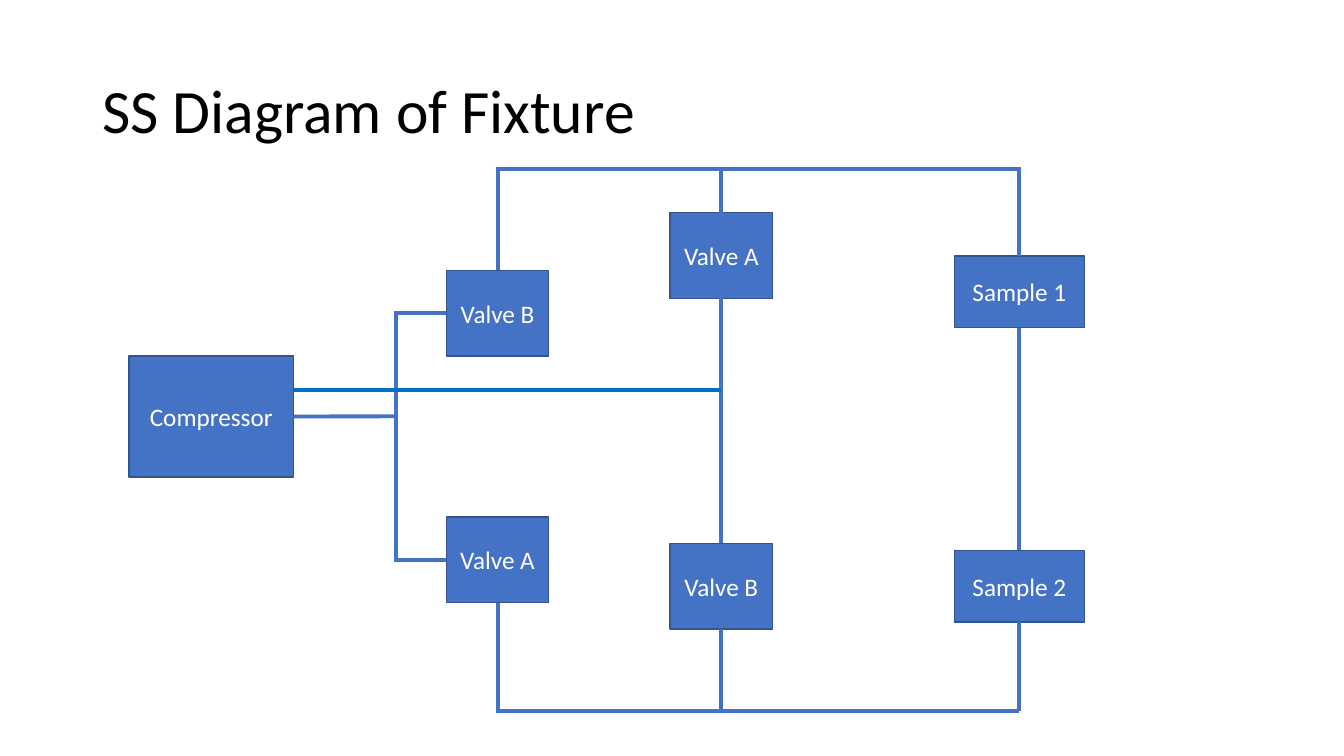
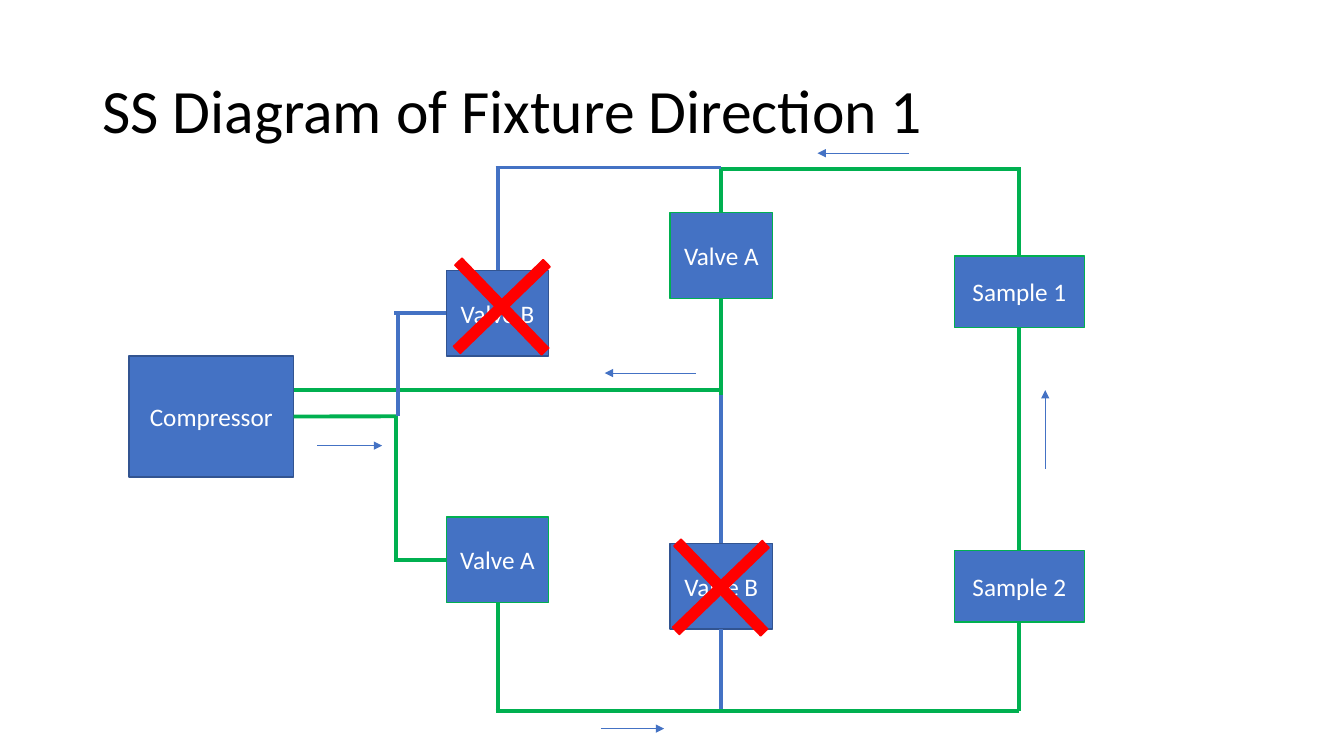
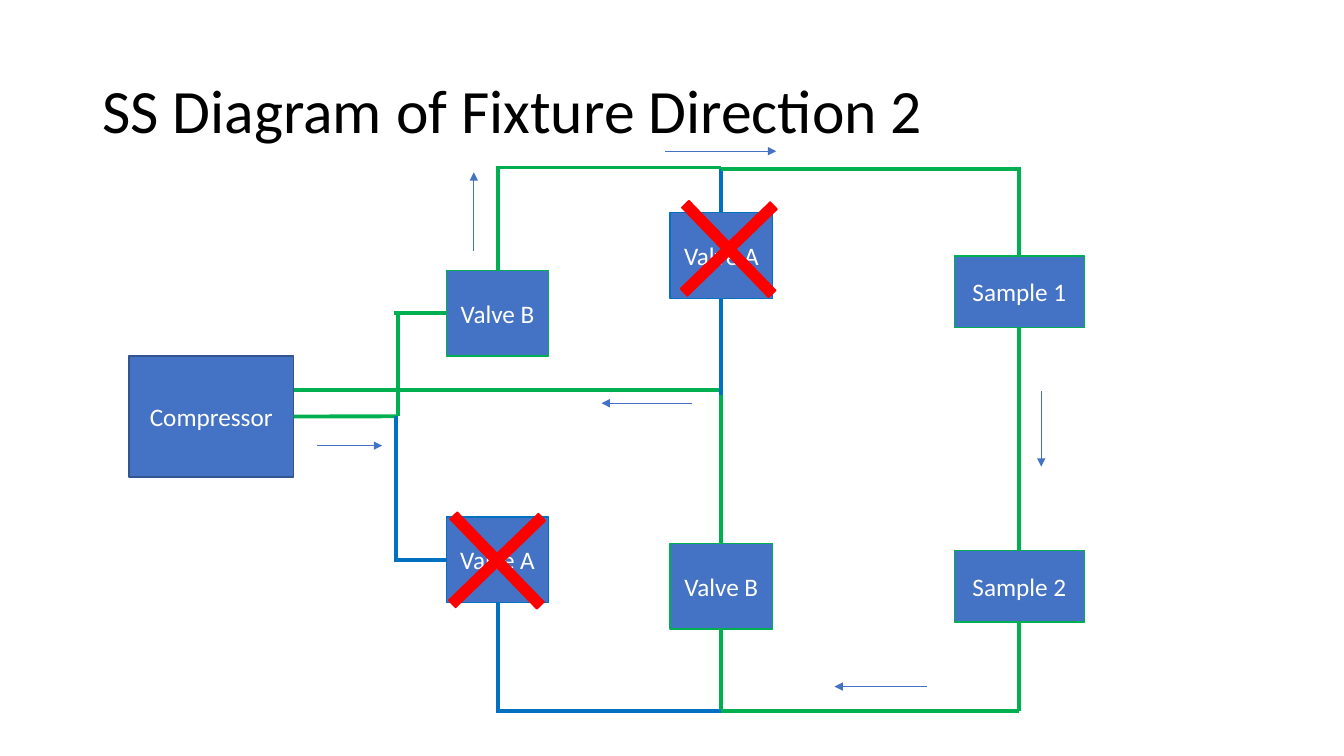
import dataclasses

import lxml.etree
import pptx
import pptx.dml.color
import pptx.enum.shapes
import pptx.enum.text
import pptx.oxml.ns
import pptx.util

Cm = pptx.util.Cm
Pt = pptx.util.Pt
RGB = pptx.dml.color.RGBColor.from_string


@dataclasses.dataclass(frozen=True)
class Theme:
    font: str = "Calibri"
    title_size: float = 44
    label_size: float = 18
    outline_width: float = 1
    pipe_width: float = 2.75
    arrow_width: float = 0.5
    ink: str = "000000"
    label: str = "FFFFFF"
    blue: str = "4472C4"
    outline: str = "325491"
    deep_blue: str = "0070C0"
    flowing: str = "00B050"
    closed: str = "FF0000"


THEME = Theme()

# All positions are centimetres.
SLIDE_SIZE = (33.87, 19.05)
TITLE_BOX = (2.33, 1.01, 29.21, 3.68)
VALVE = (2.58, 2.16)
SAMPLE = (3.28, 1.81)
CROSS_SIZE = 3.15

# key: (label, circuit, left, top, (width, height))
UNITS = {
    "compressor": ("Compressor", None, 3.25, 8.97, (4.15, 3.05)),
    "inlet A": ("Valve A", "A", 11.25, 13.03, VALVE),
    "outlet A": ("Valve A", "A", 16.89, 5.36, VALVE),
    "outlet B": ("Valve B", "B", 16.89, 13.69, VALVE),
    "inlet B": ("Valve B", "B", 11.25, 6.81, VALVE),
    "sample 1": ("Sample 1", "main", 24.05, 6.45, SAMPLE),
    "sample 2": ("Sample 2", "main", 24.05, 13.87, SAMPLE),
}

TOP, LEFT, BOTTOM, RIGHT = range(4)  # connection sites of a rectangle

FEED_X, INLET_X, OUTLET_X, SAMPLE_X = 9.98, 12.54, 18.18, 25.69
UPPER_Y, LOWER_Y = 4.27, 17.91
INLET_B_Y, RETURN_Y, FEED_Y, INLET_A_Y = 7.89, 9.83, 10.49, 14.11
OVERLAP = 0.05  # half a pipe, so that corners close

# (circuit, start, end); an end is a point or a (unit, site) pair
SHARED_PIPES = [
    ("main", ("compressor", RIGHT), (FEED_X, FEED_Y)),
    ("B", (FEED_X - OVERLAP, INLET_B_Y), ("inlet B", LEFT)),
    ("A", (FEED_X - OVERLAP, INLET_A_Y), ("inlet A", LEFT)),
    ("A", (INLET_X, LOWER_Y), ("inlet A", BOTTOM)),
    ("main", (SAMPLE_X, LOWER_Y), ("sample 2", BOTTOM)),
    ("B", ("inlet B", TOP), (INLET_X, UPPER_Y)),
    ("main", ("sample 1", TOP), (SAMPLE_X, UPPER_Y - OVERLAP)),
    ("main", ("sample 2", TOP), ("sample 1", BOTTOM)),
    ("A", ("outlet A", TOP), (OUTLET_X, UPPER_Y)),
    ("return", (7.4, RETURN_Y), (OUTLET_X, RETURN_Y)),
    ("B", (OUTLET_X, LOWER_Y), ("outlet B", BOTTOM)),
]
WHOLE_PIPES = [
    ("main", (FEED_X, INLET_A_Y), (FEED_X, INLET_B_Y)),
    ("main", (INLET_X - OVERLAP, LOWER_Y), (SAMPLE_X, LOWER_Y)),
    ("main", (INLET_X - OVERLAP, UPPER_Y), (SAMPLE_X, UPPER_Y)),
    ("main", ("outlet B", TOP), ("outlet A", BOTTOM)),
]
SPLIT_PIPES = [
    ("A", (FEED_X, INLET_A_Y), (FEED_X, FEED_Y)),
    ("B", (FEED_X + OVERLAP, FEED_Y), (FEED_X + OVERLAP, INLET_B_Y)),
    ("A", (INLET_X - OVERLAP, LOWER_Y), (OUTLET_X, LOWER_Y)),
    ("main", (OUTLET_X, LOWER_Y), (SAMPLE_X, LOWER_Y)),
    ("B", (INLET_X - OVERLAP, UPPER_Y - OVERLAP), (OUTLET_X, UPPER_Y - OVERLAP)),
    ("main", (OUTLET_X, UPPER_Y), (SAMPLE_X, UPPER_Y)),
    ("B", ("outlet B", TOP), (OUTLET_X, RETURN_Y)),
    ("A", (OUTLET_X, RETURN_Y + 0.13), ("outlet A", BOTTOM)),
]

FEED_ARROW = ((8, 11.23), (9.63, 11.23))
DIAGRAMS = [
    {
        "title": "SS Diagram of Fixture",
        "pipes": WHOLE_PIPES + SHARED_PIPES,
        "colours": {"A": THEME.blue, "B": THEME.blue, "main": THEME.blue,
                    "return": THEME.deep_blue},
        "outlines": {},
        "crosses": [],
        "arrows": [],
    },
    {
        "title": "SS Diagram of Fixture Direction 1",
        "pipes": SHARED_PIPES + SPLIT_PIPES,
        "colours": {"A": THEME.flowing, "B": THEME.blue, "main": THEME.flowing,
                    "return": THEME.flowing},
        "outlines": {"A": THEME.flowing, "main": THEME.flowing},
        "crosses": [(11.07, 6.15), (16.59, 13.23)],
        "arrows": [
            FEED_ARROW,
            ((17.53, 9.4), (15.24, 9.4)),
            ((15.14, 18.36), (16.74, 18.36)),
            ((26.34, 11.81), (26.34, 9.83)),
            ((22.91, 3.86), (20.6, 3.86)),
        ],
    },
    {
        "title": "SS Diagram of Fixture Direction 2",
        "pipes": SHARED_PIPES + SPLIT_PIPES,
        "colours": {"A": THEME.deep_blue, "B": THEME.flowing, "main": THEME.flowing,
                    "return": THEME.flowing},
        "outlines": {"A": THEME.deep_blue, "B": THEME.flowing, "main": THEME.flowing},
        "crosses": [(16.79, 4.7), (10.95, 12.55)],
        "arrows": [
            FEED_ARROW,
            ((17.45, 10.16), (15.16, 10.16)),
            ((23.37, 17.3), (21.03, 17.3)),
            ((26.24, 9.86), (26.24, 11.76)),
            ((16.76, 3.81), (19.56, 3.81)),
            ((11.94, 6.32), (11.94, 4.34)),
        ],
    },
]


def apply(target, formats):
    for name, value in formats.items():
        setattr(target, name, value)


def write(shape, text, size, colour, paragraph_formats):
    frame = shape.text_frame
    apply(frame, {"word_wrap": True,
                  "vertical_anchor": pptx.enum.text.MSO_ANCHOR.MIDDLE})
    paragraph = frame.paragraphs[0]
    paragraph.text = text
    apply(paragraph, paragraph_formats)
    apply(paragraph.font, {"name": THEME.font, "size": Pt(size)})
    paragraph.font.color.rgb = RGB(colour)


def add_title(slide, text):
    title = slide.shapes.add_textbox(*map(Cm, TITLE_BOX))
    write(title, text, THEME.title_size, THEME.ink, {"line_spacing": 0.9})


def add_filled(slide, preset, box, fill, outline):
    shape = slide.shapes.add_shape(preset, *map(Cm, box))
    shape.shadow.inherit = False
    shape.fill.solid()
    shape.fill.fore_color.rgb = RGB(fill)
    shape.line.color.rgb = RGB(outline)
    shape.line.width = Pt(THEME.outline_width)
    return shape


def add_unit(slide, label, left, top, size, outline):
    unit = add_filled(slide, pptx.enum.shapes.MSO_SHAPE.RECTANGLE,
                      (left, top, *size), THEME.blue, outline)
    write(unit, label, THEME.label_size, THEME.label,
          {"alignment": pptx.enum.text.PP_ALIGN.CENTER})
    return unit


def add_cross(slide, left, top):
    cross = add_filled(slide, pptx.enum.shapes.MSO_SHAPE.CROSS,
                       (left, top, CROSS_SIZE, CROSS_SIZE),
                       THEME.closed, THEME.closed)
    cross.adjustments[0] = 0.46
    cross.rotation = 46


def add_line(slide, start, end, colour, width):
    line = slide.shapes.add_connector(
        pptx.enum.shapes.MSO_CONNECTOR.STRAIGHT, *map(Cm, start + end))
    line.line.color.rgb = RGB(colour)
    line.line.width = Pt(width)
    lxml.etree.SubElement(line.element.spPr, pptx.oxml.ns.qn("a:effectLst"))
    return line


def add_pipe(slide, start, end, colour, units):
    """Draw a pipe, joining each end that names a unit to that unit's side."""
    joins = [point if point[0] in units else None for point in (start, end)]
    loose = [(0, 0) if join else point for join, point in zip(joins, (start, end))]
    pipe = add_line(slide, *loose, colour, THEME.pipe_width)
    for join, connect in zip(joins, (pipe.begin_connect, pipe.end_connect)):
        if join:
            connect(units[join[0]], join[1])


def add_arrow(slide, start, end):
    arrow = add_line(slide, start, end, THEME.blue, THEME.arrow_width)
    lxml.etree.SubElement(arrow.get_or_add_ln(), pptx.oxml.ns.qn("a:tailEnd"),
                          type="triangle")


def add_diagram(slide, diagram):
    add_title(slide, diagram["title"])
    units = {
        key: add_unit(slide, label, left, top, size,
                      diagram["outlines"].get(circuit, THEME.outline))
        for key, (label, circuit, left, top, size) in UNITS.items()
    }
    for circuit, start, end in diagram["pipes"]:
        add_pipe(slide, start, end, diagram["colours"][circuit], units)
    for corner in diagram["crosses"]:
        add_cross(slide, *corner)
    for start, end in diagram["arrows"]:
        add_arrow(slide, start, end)


def main():
    presentation = pptx.Presentation()
    width, height = map(Cm, SLIDE_SIZE)
    apply(presentation, {"slide_width": width, "slide_height": height})
    for diagram in DIAGRAMS:
        slide = presentation.slides.add_slide(presentation.slide_layouts[6])
        add_diagram(slide, diagram)
    presentation.save("out.pptx")


if __name__ == "__main__":
    main()
